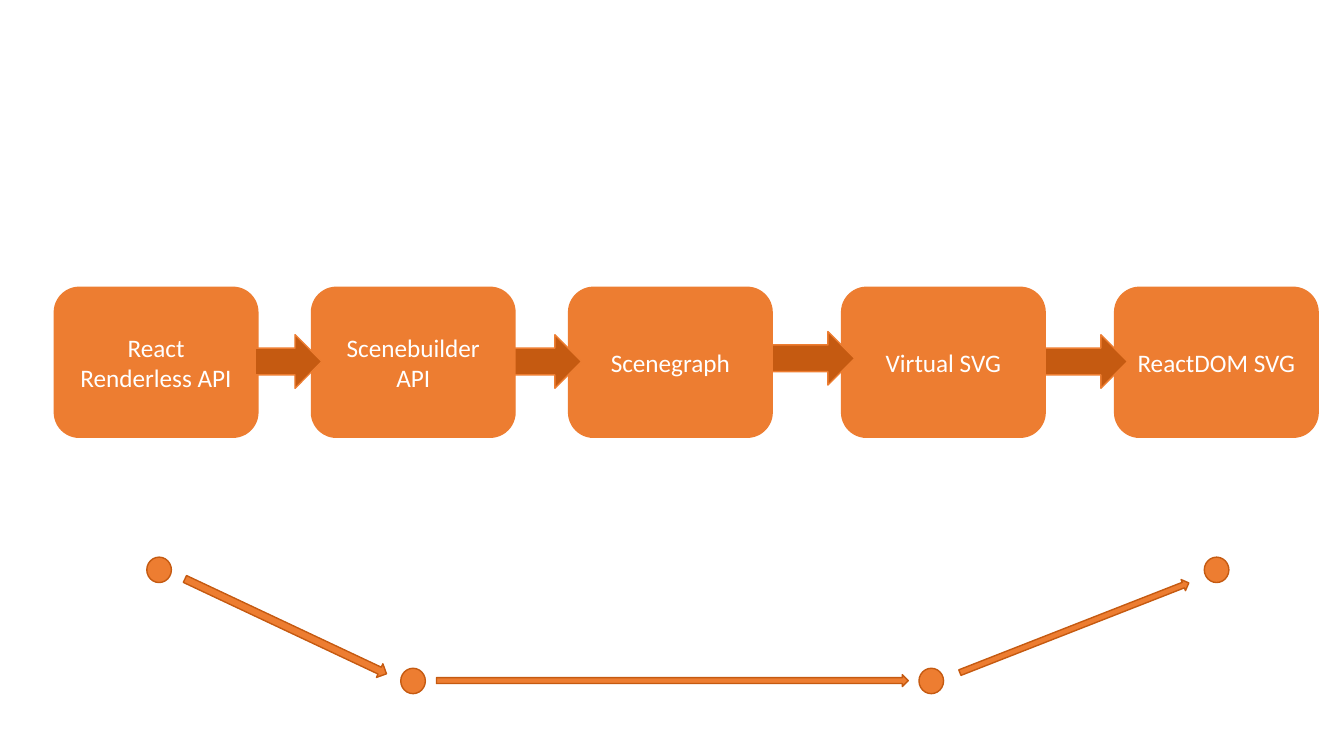
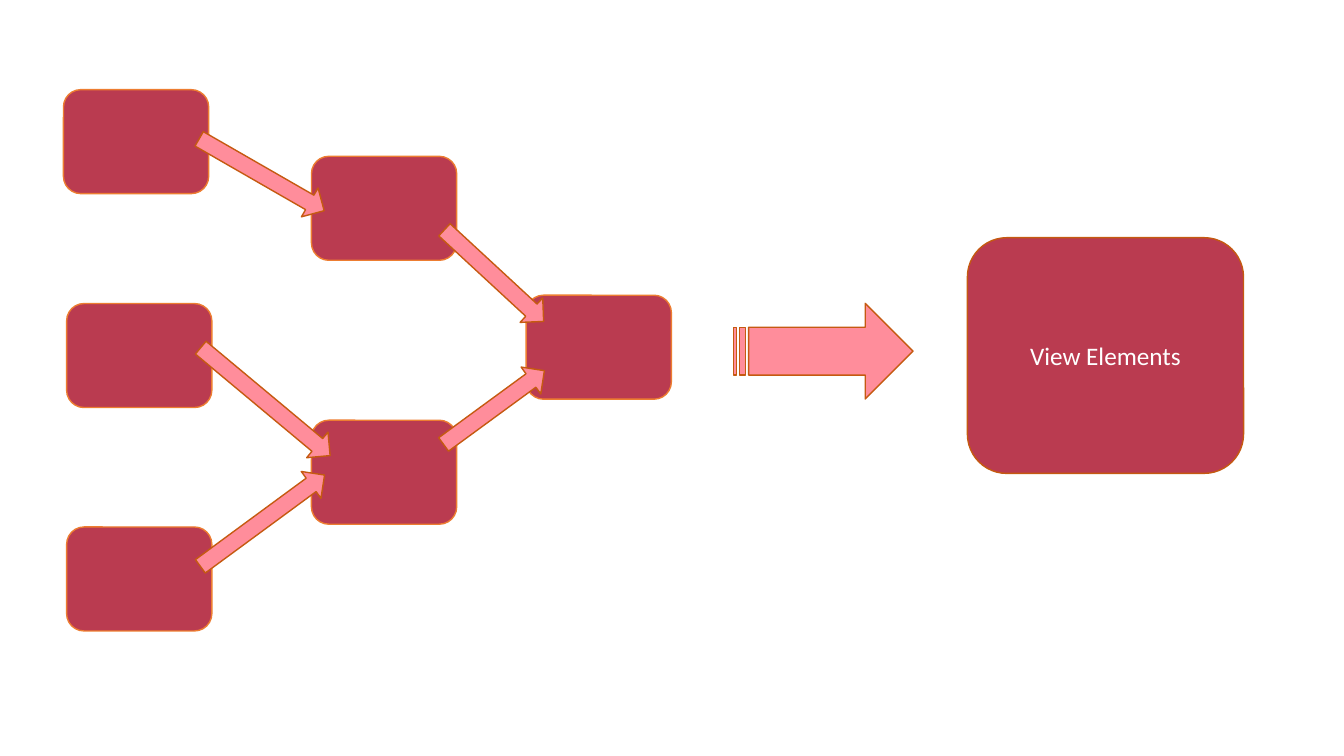
import math

from pptx import Presentation
from pptx import util as u
from pptx.dml.color import RGBColor
from pptx.enum import shapes, text

ORANGE, RUST, CRIMSON, PINK, WHITE = "ED7D31", "C55A11", "BA3B50", "FF8D9B", "FFFFFF"
KINDS = shapes.MSO_SHAPE
LABEL_FONT = {"name": "Calibri", "size": u.Pt(18)}
LABEL_FRAME = {"word_wrap": True, "vertical_anchor": text.MSO_ANCHOR.MIDDLE}


def colour(hex_value):
    return RGBColor.from_string(hex_value)


def apply(target, values):
    for name, value in values.items():
        setattr(target, name, value)


class Deck:
    def __init__(self, width, height):
        self.deck = Presentation()
        apply(self.deck, {"slide_width": u.Cm(width), "slide_height": u.Cm(height)})
        self.slide = None

    def new_slide(self):
        self.slide = self.deck.slides.add_slide(self.deck.slide_layouts[6])

    def figure(self, kind, left, top, width, height, fill, line):
        figure = self.slide.shapes.add_shape(
            kind, u.Cm(left), u.Cm(top), u.Cm(width), u.Cm(height))
        figure.shadow.inherit = False
        figure.fill.solid()
        figure.fill.fore_color.rgb = colour(fill)
        figure.line.color.rgb = colour(line)
        figure.line.width = u.Pt(1)
        return figure

    def box(self, left, top, width, height, fill, line, label=None):
        box = self.figure(KINDS.ROUNDED_RECTANGLE, left, top, width, height, fill, line)
        if label:
            apply(box.text_frame, LABEL_FRAME)
            paragraph = box.text_frame.paragraphs[0]
            paragraph.alignment = text.PP_ALIGN.CENTER
            run = paragraph.add_run()
            run.text = label
            apply(run.font, LABEL_FONT)
            run.font.color.rgb = colour(WHITE)

    def dot(self, x, y, width, height, fill, line):
        self.figure(KINDS.OVAL, x - width / 2, y - height / 2, width, height, fill, line)

    def arrow(self, start, end, thickness, fill, line, kind=KINDS.RIGHT_ARROW):
        (x1, y1), (x2, y2) = start, end
        length = math.dist(start, end)
        arrow = self.figure(kind, (x1 + x2 - length) / 2, (y1 + y2 - thickness) / 2,
                            length, thickness, fill, line)
        arrow.rotation = math.degrees(math.atan2(y2 - y1, x2 - x1))

    def save(self):
        self.deck.save("out.pptx")


def rendering_pipeline(deck):
    deck.new_slide()
    stages = [
        (1.37, "React Renderless API"),
        (7.85, "Scenebuilder API"),
        (14.33, "Scenegraph"),
        (21.21, "Virtual SVG"),
        (28.09, "ReactDOM SVG"),
    ]
    for left, label in stages:
        deck.box(left, 7.24, 5.13, 3.78, ORANGE, ORANGE, label)

    handovers = [(6.43, 8.11, 9.11), (12.98, 14.66, 9.11),
                 (19.46, 21.54, 9.03), (26.34, 28.42, 9.11)]
    for start, end, y in handovers:
        deck.arrow((start, y), (end, y), 1.35, RUST, ORANGE)

    high, low = 14.36, 17.16
    for x, y in [(4.01, high), (10.41, low), (23.47, low), (30.66, high)]:
        deck.dot(x, y, 0.62, 0.64, ORANGE, RUST)

    path_steps = [
        ((4.66, 14.59), (9.74, 16.98), 0.38),
        ((11, 17.15), (22.89, 17.15), 0.3),
        ((24.19, 16.95), (29.96, 14.69), 0.3),
    ]
    for start, end, thickness in path_steps:
        deck.arrow(start, end, thickness, ORANGE, RUST)


def view_tree(deck):
    deck.new_slide()
    nodes = [(1.6, 2.26), (1.68, 7.65), (1.68, 13.28),
             (7.85, 3.94), (7.85, 10.59), (13.26, 7.44)]
    for left, top in nodes:
        deck.box(left, top, 3.66, 2.62, CRIMSON, ORANGE)

    links = [
        ((5.02, 3.5), (8.17, 5.31)),
        ((5.05, 14.27), (8.18, 11.97)),
        ((11.18, 11.2), (13.72, 9.34)),
        ((11.2, 5.79), (13.7, 8.1)),
        ((5.06, 8.76), (8.32, 11.48)),
    ]
    for start, end in links:
        deck.arrow(start, end, 0.84, PINK, RUST)

    deck.box(24.38, 5.99, 6.96, 5.94, CRIMSON, RUST, "View Elements")
    deck.arrow((18.49, 8.85), (23.01, 8.85), 2.41, PINK, RUST, KINDS.STRIPED_RIGHT_ARROW)


deck = Deck(33.87, 19.05)
rendering_pipeline(deck)
view_tree(deck)
deck.save()
